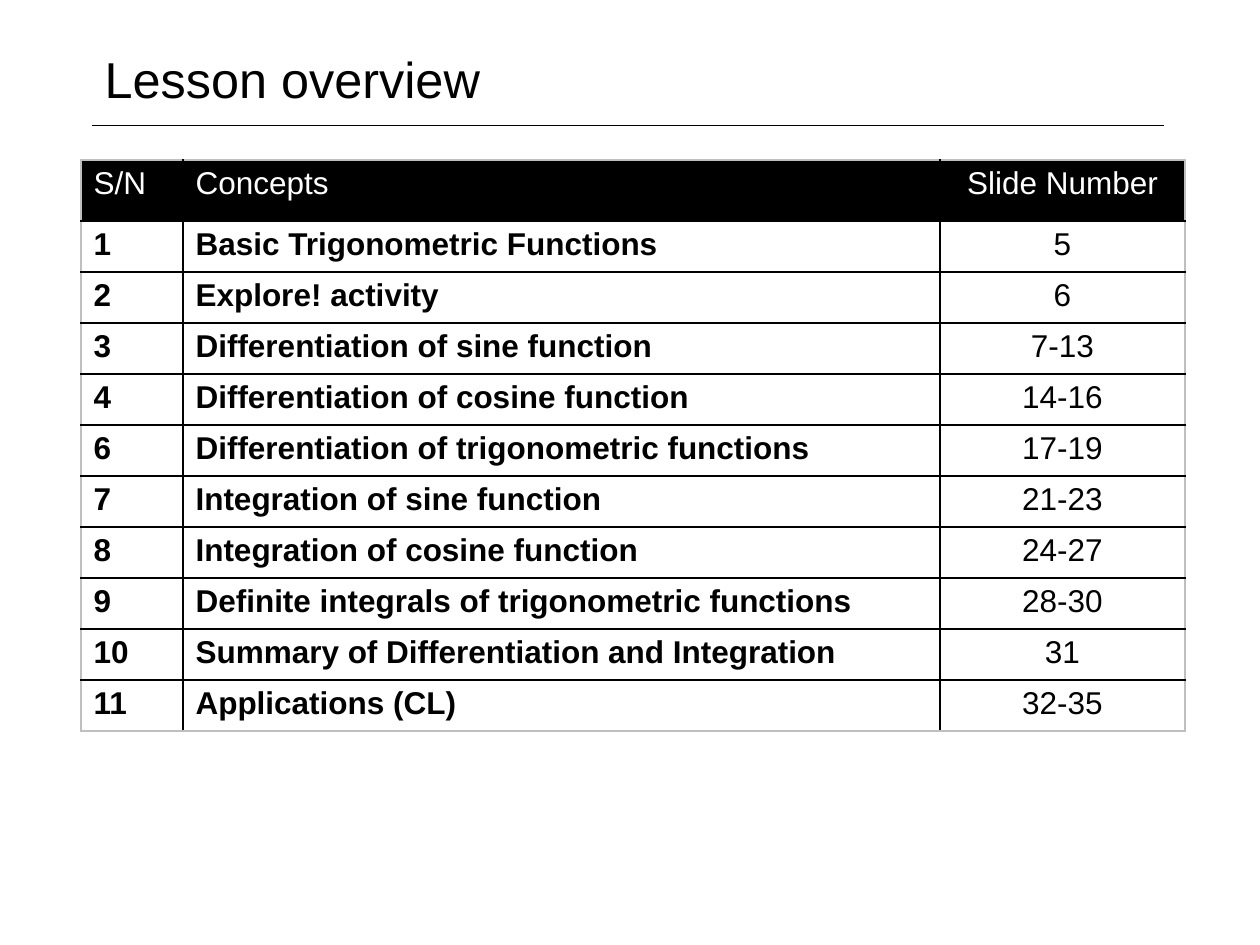
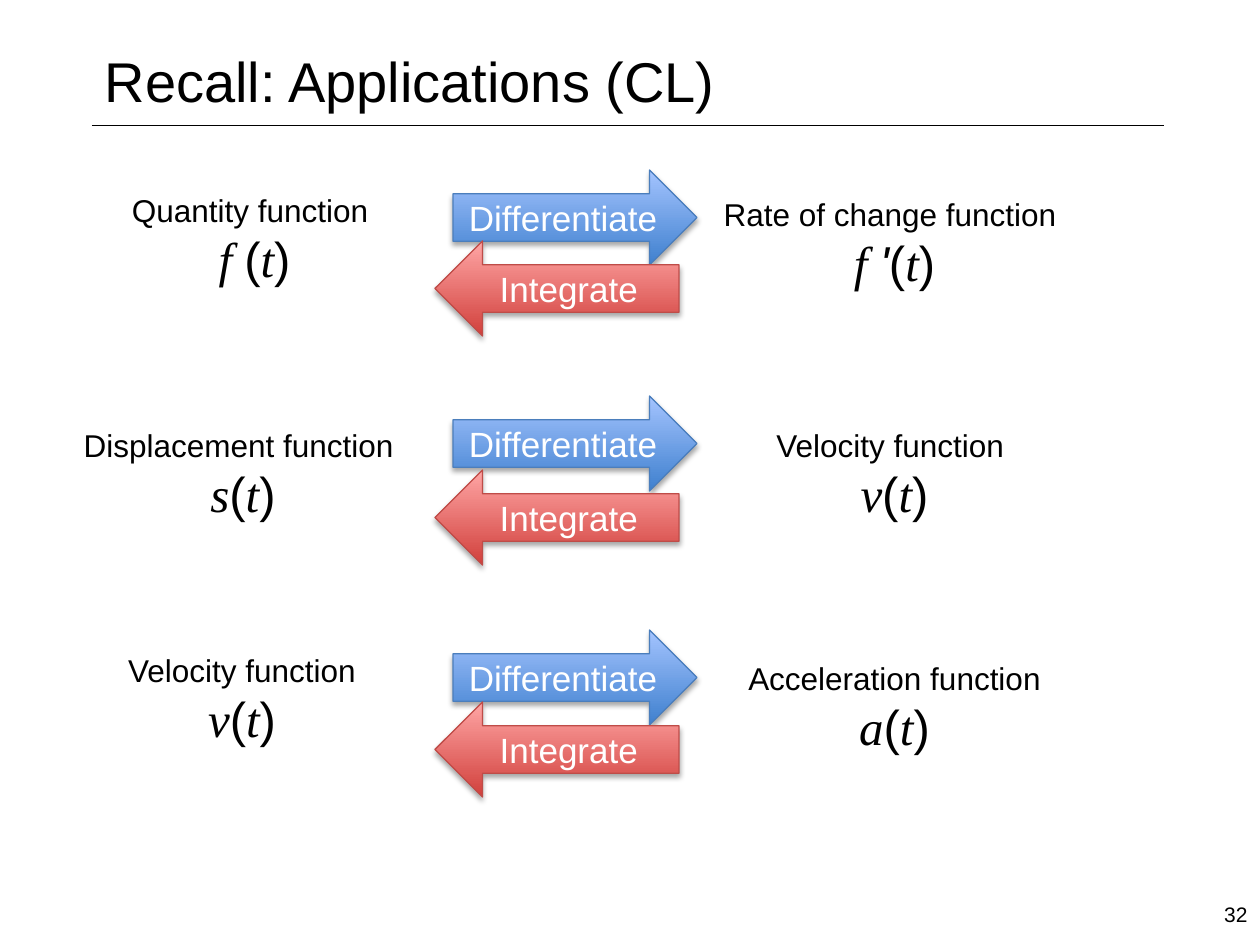
"""Builds a two-slide maths deck: a lesson overview table and a recall diagram."""
from lxml.etree import SubElement
from pptx import Presentation
from pptx.dml.color import RGBColor
from pptx.enum.shapes import MSO_CONNECTOR, MSO_SHAPE
from pptx.enum.text import MSO_ANCHOR, MSO_AUTO_SIZE, PP_ALIGN
from pptx.oxml.ns import qn
from pptx.util import Pt

BLACK, WHITE, GREY = "000000", "FFFFFF", "BFBFBF"
SANS, SERIF = "Arial", "Times New Roman"
hue = RGBColor.from_string


def px(*nums):
    """Turn px (126 to the inch) into EMU."""
    return [round(num * 914400 / 126) for num in nums]


def write(par, text, size, color=BLACK, align=PP_ALIGN.LEFT, **form):
    """Add one run to a paragraph and format it."""
    par.alignment = align
    run = par.add_run()
    run.text = text
    look = {"name": SANS, "size": Pt(size), "bold": False, "italic": False} | form
    for key, val in look.items():
        setattr(run.font, key, val)
    run.font.color.rgb = hue(color)


deck = Presentation()
deck.slide_width, deck.slide_height = px(1260, 945)

slides = []
heads = [
    ("Lesson overview", 28.8, MSO_ANCHOR.MIDDLE),
    ("Recall: Applications (CL)", 32, MSO_ANCHOR.BOTTOM),
]
for text, size, anchor in heads:
    slide = deck.slides.add_slide(deck.slide_layouts[5])
    slides.append(slide)
    rule = slide.shapes.add_connector(MSO_CONNECTOR.STRAIGHT, *px(92, 125, 1164, 125))
    rule.line.color.rgb = hue(BLACK)
    rule.line.width = Pt(0.25)
    SubElement(rule._element.spPr, qn("a:effectLst"))
    title = slide.shapes.title
    title.left, title.top, title.width, title.height = px(92, 37, 856, 83)
    frame = title.text_frame
    frame.auto_size = MSO_AUTO_SIZE.NONE
    frame.vertical_anchor = anchor
    write(frame.paragraphs[0], text, size)
lesson, recall = slides

rows = [
    ("S/N", "Concepts", "Slide Number"),
    ("1", "Basic Trigonometric Functions", "5"),
    ("2", "Explore! activity", "6"),
    ("3", "Differentiation of sine function", "7-13"),
    ("4", "Differentiation of cosine function", "14-16"),
    ("6", "Differentiation of trigonometric functions", "17-19"),
    ("7", "Integration of sine function", "21-23"),
    ("8", "Integration of cosine function", "24-27"),
    ("9", "Definite integrals of trigonometric functions", "28-30"),
    ("10", "Summary of Differentiation and Integration", "31"),
    ("11", "Applications (CL)", "32-35"),
]
last = len(rows) - 1
table = lesson.shapes.add_table(len(rows), 3, *px(81, 160, 1104, 571)).table
table.horz_banding = False
for col, width in zip(table.columns, px(102, 757, 245)):
    col.width = width
for r, texts in enumerate(rows):
    table.rows[r].height = px(51 if r else 61)[0]
    for c, text in enumerate(texts):
        cell = table.cell(r, c)
        align = PP_ALIGN.CENTER if c == 2 else PP_ALIGN.LEFT
        write(cell.text_frame.paragraphs[0], text, 18, BLACK if r else WHITE,
              align, bold=r > 0 and c < 2)
        props = cell._tc.get_or_add_tcPr()
        edges = {"lnL": c == 0, "lnR": c == 2, "lnT": r == 0, "lnB": r == last}
        for tag, outer in edges.items():
            edge = SubElement(props, qn(f"a:{tag}"), w=str(Pt(1)))
            fill = SubElement(edge, qn("a:solidFill"))
            SubElement(fill, qn("a:srgbClr"), val=GREY if outer else BLACK)
        cell.fill.solid()
        cell.fill.fore_color.rgb = hue(WHITE if r else BLACK)

page = recall.shapes.add_textbox(*px(1197, 895, 63, 50)).text_frame
page.word_wrap = True
write(page.paragraphs[0], "32", 12, align=PP_ALIGN.RIGHT)

labels = [
    (92, 185, 325, "Quantity function ", "f ", ""),
    (698, 189, 393, "Rate of change function ", "f ", "'"),
    (67, 420, 352, "Displacement function ", "s", ""),
    (698, 420, 393, "Velocity function ", "v", ""),
    (49, 645, 386, "Velocity function", "v", ""),
    (698, 653, 393, "Acceleration function", "a", ""),
]
for left, top, width, name, sign, prime in labels:
    frame = recall.shapes.add_textbox(*px(left, top, width, 111)).text_frame
    frame.word_wrap = True
    write(frame.paragraphs[0], name, 18, align=PP_ALIGN.CENTER)
    par = frame.add_paragraph()
    parts = [(sign, SERIF, True), (prime, SANS, True), ("(", SANS, False),
             ("t", SERIF, True), (")", SANS, False)]
    for text, font, slant in parts:
        if text:
            write(par, text, 28, align=PP_ALIGN.CENTER, name=font, italic=slant)

kinds = [
    ("Differentiate", 453, (170, 396, 630), "3F80CE", "A4C4FF", "4B7EBC", False),
    ("Integrate", 435, (241, 470, 702), "D1403C", "FFA6A5", "BF4C48", True),
]
for text, left, tops, dark, light, edge, flip in kinds:
    for top in tops:
        arrow = recall.shapes.add_shape(MSO_SHAPE.RIGHT_ARROW, *px(left, top, 244, 95))
        if flip:
            arrow._element.spPr.find(qn("a:xfrm")).set("flipH", "1")
        arrow.fill.gradient()
        arrow.fill.gradient_angle = 90
        for stop, color in zip(arrow.fill.gradient_stops, (dark, light)):
            stop.color.rgb = hue(color)
        arrow.line.color.rgb = hue(edge)
        arrow.line.width = Pt(0.75)
        arrow.shadow.inherit = False
        glow = SubElement(arrow._element.spPr.find(qn("a:effectLst")), qn("a:outerShdw"),
                          blurRad=str(Pt(3.1)), dist=str(Pt(1.8)), dir="5400000",
                          rotWithShape="0")
        shade = SubElement(glow, qn("a:srgbClr"), val=BLACK)
        SubElement(shade, qn("a:alpha"), val="35000")
        frame = arrow.text_frame
        frame.vertical_anchor = MSO_ANCHOR.MIDDLE
        write(frame.paragraphs[0], text, 20, WHITE, PP_ALIGN.CENTER)

deck.save("out.pptx")
